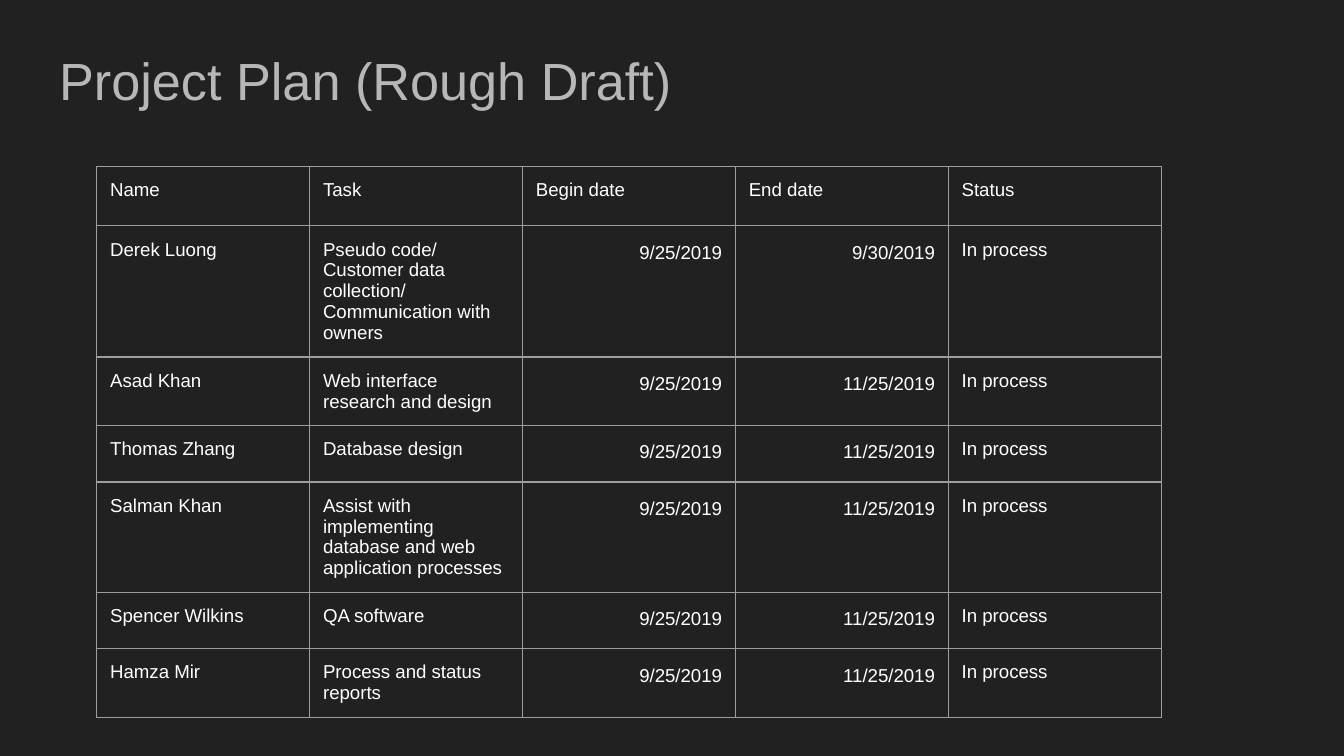
from lxml import etree
from pptx import Presentation
from pptx.dml.color import RGBColor
from pptx.enum import text
from pptx.oxml.ns import qn
from pptx.util import Inches, Pt

COLORS = {"background": "212121", "title": "B7B7B7", "body": "FFFFFF", "border": "9E9E9E"}
FONT = "Arial"
INSET = Inches(0.1)
BEGIN = "9/25/2019"
END = "11/25/2019"
STATUS = "In process"
HEADER = ("Name", "Task", "Begin date", "End date", "Status")
DATE_COLUMNS = (HEADER.index("Begin date"), HEADER.index("End date"))
PLAN = [
    ("Derek Luong", "Pseudo code/ Customer data collection/ Communication with owners", "9/30/2019"),
    ("Asad Khan", "Web interface research and design", END),
    ("Thomas Zhang", "Database design", END),
    ("Salman Khan", "Assist with implementing database and web application processes", END),
    ("Spencer Wilkins", "QA software", END),
    ("Hamza Mir", "Process and status reports", END),
]


def color(name):
    return RGBColor.from_string(COLORS[name])


def format_paragraph(paragraph, size, color_name, align=text.PP_ALIGN.LEFT):
    paragraph.alignment = align
    paragraph.font.name = FONT
    paragraph.font.size = Pt(size)
    paragraph.font.bold = False
    paragraph.font.color.rgb = color(color_name)


def set_insets(holder):
    holder.margin_left = holder.margin_right = INSET
    holder.margin_top = holder.margin_bottom = INSET


def add_borders(cell):
    """Outline all four sides; lines must precede the fill in the cell's XML."""
    properties = cell._tc.get_or_add_tcPr()
    for position, side in enumerate(("a:lnL", "a:lnR", "a:lnT", "a:lnB")):
        line = etree.Element(qn(side), w=str(Pt(0.75)))
        fill = etree.SubElement(line, qn("a:solidFill"))
        etree.SubElement(fill, qn("a:srgbClr"), val=COLORS["border"])
        properties.insert(position, line)


def place_title(slide, left, top, width, height):
    title = slide.shapes.title
    title.left, title.top, title.width, title.height = left, top, width, height
    frame = title.text_frame
    frame.text = "Project Plan (Rough Draft)"
    frame.auto_size = text.MSO_AUTO_SIZE.NONE
    frame.vertical_anchor = text.MSO_ANCHOR.TOP
    set_insets(frame)
    format_paragraph(frame.paragraphs[0], 28, "title")


def fill_cell(cell, content, is_date):
    cell.text = content
    cell.fill.background()
    set_insets(cell)
    add_borders(cell)
    paragraph = cell.text_frame.paragraphs[0]
    format_paragraph(paragraph, 10, "body",
                     text.PP_ALIGN.RIGHT if is_date else text.PP_ALIGN.LEFT)
    if is_date:
        paragraph.line_spacing = 1.15


def add_plan_table(slide, left, top, width, header_height, row_height):
    rows = [HEADER] + [(name, task, BEGIN, end, STATUS) for name, task, end in PLAN]
    height = header_height + row_height * len(PLAN)
    plan = slide.shapes.add_table(len(rows), len(HEADER), left, top, width, height).table
    plan.first_row = plan.horz_banding = False
    for r, row in enumerate(rows):
        plan.rows[r].height = row_height if r else header_height
        for c, content in enumerate(row):
            fill_cell(plan.cell(r, c), content, r > 0 and c in DATE_COLUMNS)


def main():
    deck = Presentation()
    deck.slide_width = Inches(10)
    deck.slide_height = deck.slide_width * 9 // 16
    slide = deck.slides.add_slide(deck.slide_layouts[5])
    slide.background.fill.solid()
    slide.background.fill.fore_color.rgb = color("background")
    place_title(slide, Inches(0.34), Inches(0.26), Inches(9.32), Inches(0.63))
    add_plan_table(slide, Inches(0.72), Inches(1.24), Inches(7.92), Inches(0.44), Inches(0.42))
    deck.save("out.pptx")


if __name__ == "__main__":
    main()
